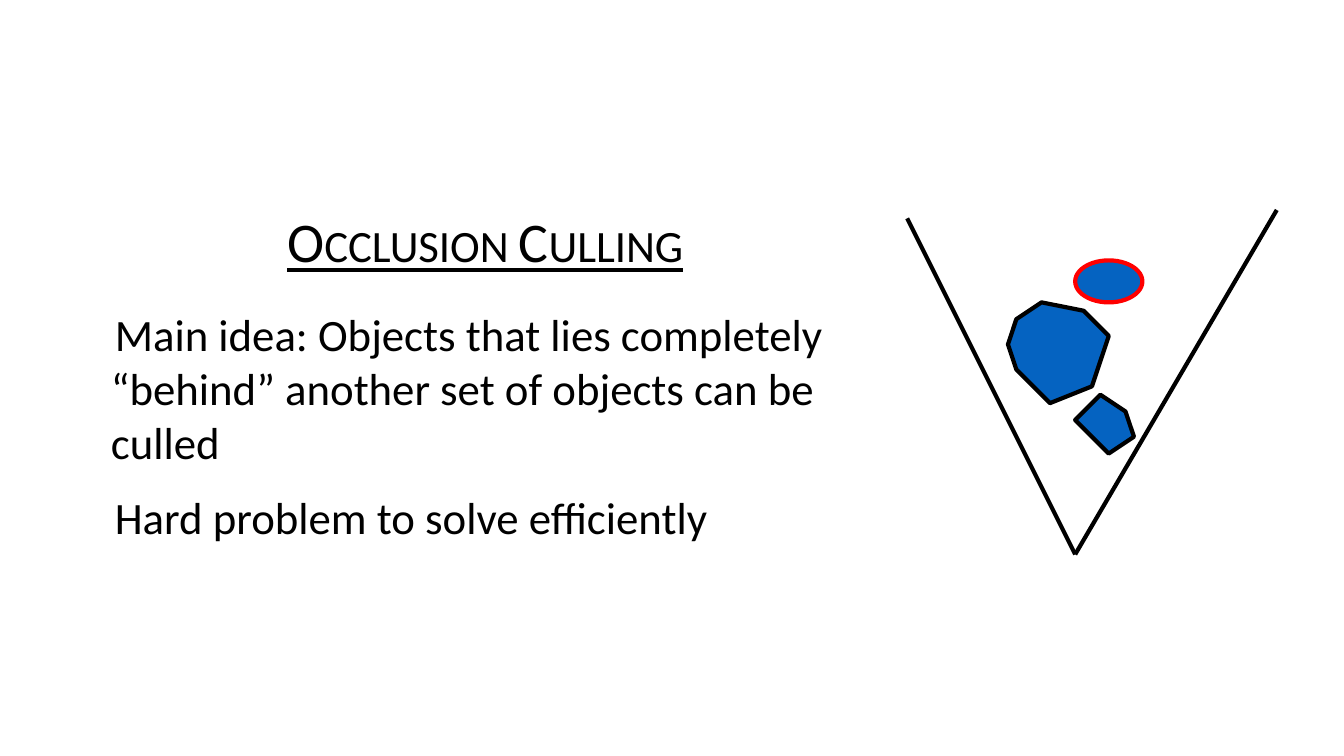
from lxml.etree import SubElement
from pptx import Presentation
from pptx.dml.color import RGBColor
from pptx.enum.shapes import MSO_CONNECTOR as Connector, MSO_SHAPE as Shape
from pptx.enum.text import MSO_ANCHOR as Anchor, MSO_AUTO_SIZE as AutoSize, PP_ALIGN as Align
from pptx.oxml.ns import qn
from pptx.util import Pt

BLACK = RGBColor(0, 0, 0)
BLUE = RGBColor(0x05, 0x63, 0xC1)
RED = RGBColor(0xFF, 0, 0)

TITLE = "Occlusion Culling"
POINTS = [
    "Main idea: Objects that lies completely “behind” another set of objects can be culled",
    "Hard problem to solve efficiently",
]
GRID = 6
APEX = (20, 41)
VIEW_EDGES = [(0, 1), (44, 0)]
OCCLUDERS = [
    [(12, 16), (13, 19), (17, 23), (22, 21), (24, 15), (21, 12), (16, 11), (13, 13)],
    [(20, 25), (23, 22), (26, 24), (27, 27), (24, 29)],
]
HIDDEN_OBJECT = (20, 6, 8, 5)


def add_faint_bullet(paragraph):
    """Give the paragraph a small white bullet without any indent."""
    properties = paragraph._p.get_or_add_pPr()
    properties.set("marL", "0")
    properties.set("indent", "0")
    color = SubElement(properties, qn("a:buClr"))
    SubElement(color, qn("a:srgbClr"), val="FFFFFF")
    SubElement(properties, qn("a:buSzPct"), val="25000")
    SubElement(properties, qn("a:buFont"), typeface="Arial")
    SubElement(properties, qn("a:buChar"), char="•")


def add_run(paragraph, text, size):
    """Add one black Calibri run and return it."""
    run = paragraph.add_run()
    run.text = text
    run.font.name = "Calibri"
    run.font.size = Pt(size)
    run.font.color.rgb = BLACK
    return run


def fill_body(body, left, top, width, height):
    """Place the body and write the heading and the points in it."""
    body.left, body.top, body.width, body.height = Pt(left), Pt(top), Pt(width), Pt(height)
    frame = body.text_frame
    frame.word_wrap = True
    frame.auto_size = AutoSize.NONE
    frame.vertical_anchor = Anchor.MIDDLE

    heading = frame.paragraphs[0]
    heading.alignment = Align.CENTER
    heading.line_spacing = 0.9
    heading.space_before = Pt(0)
    heading.space_after = Pt(8.4)
    add_faint_bullet(heading)
    run = add_run(heading, TITLE, 40)
    run.font.underline = True
    run._r.get_or_add_rPr().set("cap", "small")

    for text in POINTS:
        paragraph = frame.add_paragraph()
        paragraph.level = 1
        paragraph.alignment = Align.LEFT
        paragraph.line_spacing = 1.0
        paragraph.space_before = Pt(15)
        paragraph.space_after = Pt(0)
        add_faint_bullet(paragraph)
        add_run(paragraph, text, 32)


def style_object(shape, line_color):
    """Give a scene object its blue fill and outline."""
    shape.shadow.inherit = False
    shape.fill.solid()
    shape.fill.fore_color.rgb = BLUE
    shape.line.color.rgb = line_color
    shape.line.width = Pt(3)


def draw_view(shapes, left, top):
    """Draw the view wedge and its objects on a grid from the given corner."""
    def place(column, row):
        return Pt(left + column * GRID), Pt(top + row * GRID)

    for edge in VIEW_EDGES:
        line = shapes.add_connector(Connector.STRAIGHT, *place(*APEX), *place(*edge))
        line.line.color.rgb = BLACK
        line.line.width = Pt(3)
        SubElement(line._element.spPr, qn("a:effectLst"))

    def add_occluder(corners):
        builder = shapes.build_freeform(*corners[0], scale=Pt(GRID))
        builder.add_line_segments(corners[1:], close=True)
        style_object(builder.convert_to_shape(Pt(left), Pt(top)), BLACK)

    large, small = OCCLUDERS
    add_occluder(large)
    column, row, width, height = HIDDEN_OBJECT
    ellipse = shapes.add_shape(
        Shape.OVAL, *place(column, row), Pt(width * GRID), Pt(height * GRID))
    style_object(ellipse, RED)
    add_occluder(small)


def main():
    """Build and save the slide."""
    presentation = Presentation()
    presentation.slide_width, presentation.slide_height = Pt(960), Pt(540)
    slide = presentation.slides.add_slide(presentation.slide_layouts[1])
    title = slide.shapes.title._element
    title.getparent().remove(title)
    fill_body(slide.placeholders[1], 72, 65.5, 545.75, 409.7)
    draw_view(slide.shapes, 648, 150)
    presentation.save("out.pptx")


if __name__ == "__main__":
    main()
